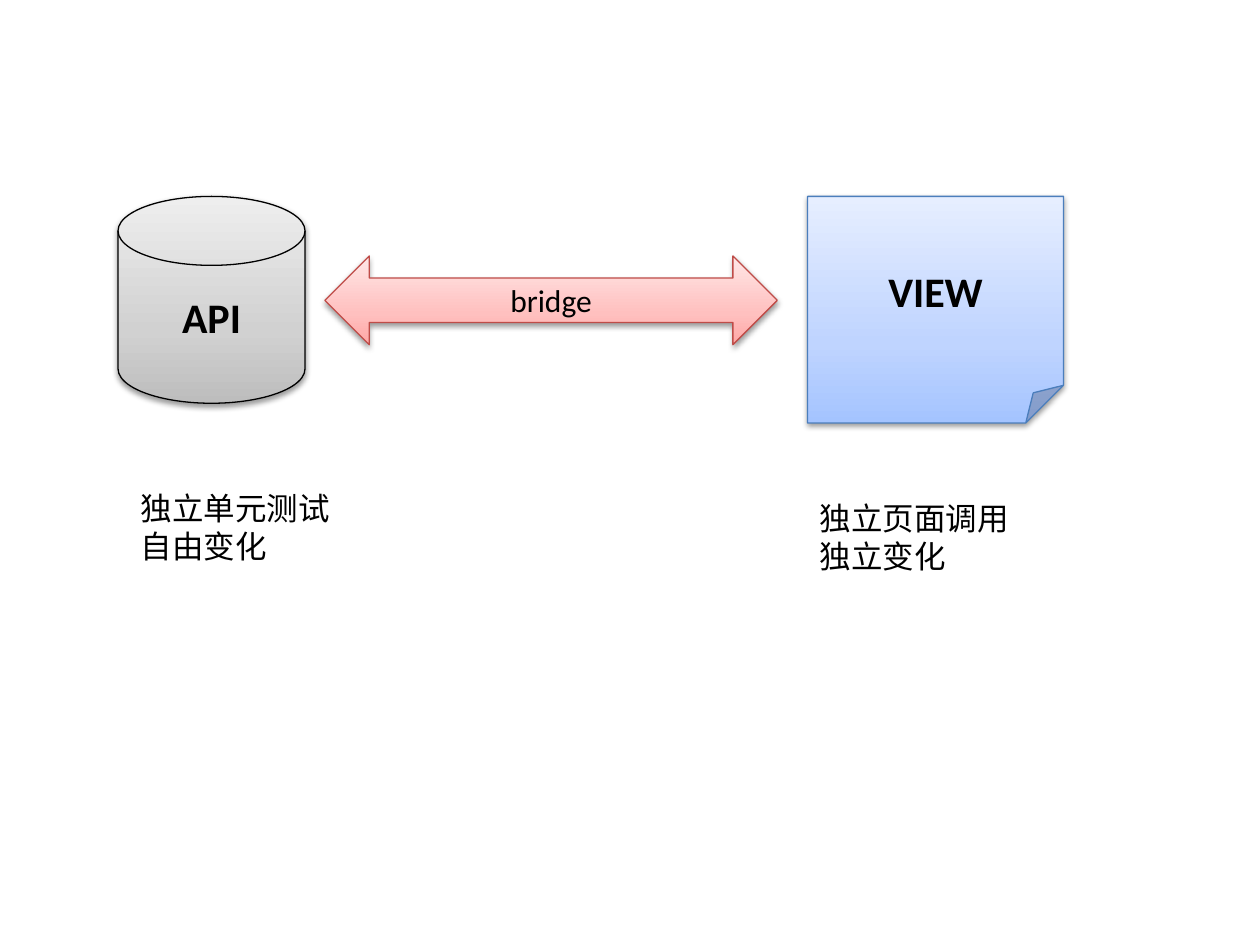
from copy import deepcopy
from dataclasses import dataclass

import lxml.etree
import pptx
import pptx.dml.color
import pptx.enum.shapes
import pptx.enum.text
import pptx.oxml.ns
import pptx.util
from pptx.dml.color import RGBColor
from pptx.util import Cm

KIND = pptx.enum.shapes.MSO_SHAPE
BLACK = RGBColor(0x00, 0x00, 0x00)
BLUE = RGBColor(0x4B, 0x7E, 0xBC)
RED = RGBColor(0xBF, 0x4C, 0x48)
GRAYS = (RGBColor(0xBD, 0xBD, 0xBD), RGBColor(0xD1, 0xD1, 0xD1), RGBColor(0xEE, 0xEE, 0xEE))
BLUES = (RGBColor(0xA4, 0xC4, 0xFF), RGBColor(0xBF, 0xD4, 0xFF), RGBColor(0xE6, 0xEE, 0xFF))
REDS = (RGBColor(0xFF, 0xA6, 0xA5), RGBColor(0xFF, 0xC0, 0xBF), RGBColor(0xFF, 0xE7, 0xE7))
STOPS = (0, 0.35, 1)
FONT = "Calibri"
TOP = 3.96
VIEW_X = 16.28
VIEW_W = 5.16


@dataclass
class Part:
    """A labelled shape of the diagram, in centimetres."""
    kind: KIND
    box: tuple[float, float, float, float]
    text: str
    size: int
    bold: bool
    fill: tuple[RGBColor, ...]
    line: RGBColor


@dataclass
class Note:
    """A caption below a part, in centimetres."""
    left: float
    top: float
    text: str


PARTS = (
    Part(KIND.FLOWCHART_MAGNETIC_DISK, (2.38, TOP, 3.77, 4.17), "API", 24, True, GRAYS, BLACK),
    Part(KIND.FOLDED_CORNER, (VIEW_X, TOP, VIEW_W, 4.57), "VIEW", 24, True, BLUES, BLUE),
    Part(KIND.LEFT_RIGHT_ARROW, (6.55, 5.16, 9.12, 1.79), "bridge", 18, False, REDS, RED),
)
NOTES = (
    Note(2.59, 9.73, "独立单元测试\n自由变化"),
    Note(VIEW_X, 9.93, "独立页面调用\n独立变化"),
)


def shade(shape, tints: tuple[RGBColor, ...]) -> None:
    """Fill a shape with a gradient that rises from its base."""
    shape.fill.gradient()
    shape.fill.gradient_angle = 90
    items = shape._element.spPr.find(".//" + pptx.oxml.ns.qn("a:gsLst"))
    items.insert(1, deepcopy(items[0]))
    for stop, pos, tint in zip(shape.fill.gradient_stops, STOPS, tints):
        stop.position = pos
        stop.color.rgb = tint


def shadow(shape) -> None:
    """Give a shape a soft shadow straight below it."""
    shape.shadow.inherit = False
    tag = pptx.oxml.ns.qn
    group = shape._element.spPr.find(tag("a:effectLst"))
    outer = lxml.etree.SubElement(group, tag("a:outerShdw"), blurRad="40000",
                                  dist="20000", dir="5400000", rotWithShape="0")
    color = lxml.etree.SubElement(outer, tag("a:srgbClr"), val=str(BLACK))
    lxml.etree.SubElement(color, tag("a:alpha"), val="38000")


def write(frame, text: str, size: int, bold: bool = False):
    """Write one paragraph and return it."""
    para = frame.paragraphs[0]
    para.text = text
    para.font.name = FONT
    para.font.size = pptx.util.Pt(size)
    para.font.bold = bold
    para.font.color.rgb = BLACK
    return para


def add_part(slide, part: Part) -> None:
    """Draw one labelled shape."""
    shape = slide.shapes.add_shape(part.kind, *map(Cm, part.box))
    shade(shape, part.fill)
    shape.line.color.rgb = part.line
    shape.line.width = pptx.util.Pt(0.75)
    shadow(shape)
    shape.text_frame.vertical_anchor = pptx.enum.text.MSO_ANCHOR.MIDDLE
    para = write(shape.text_frame, part.text, part.size, part.bold)
    para.alignment = pptx.enum.text.PP_ALIGN.CENTER


def add_note(slide, note: Note) -> None:
    """Draw one caption."""
    box = slide.shapes.add_textbox(Cm(note.left), Cm(note.top), Cm(VIEW_W), Cm(1.8))
    box.text_frame.word_wrap = True
    box.text_frame.auto_size = pptx.enum.text.MSO_AUTO_SIZE.SHAPE_TO_FIT_TEXT
    write(box.text_frame, note.text, 18)


def main() -> None:
    """Build the slide and save it."""
    deck = pptx.Presentation()
    deck.slide_width, deck.slide_height = Cm(25.4), Cm(19.05)
    slide = deck.slides.add_slide(deck.slide_layouts.get_by_name("Blank"))
    for part in PARTS:
        add_part(slide, part)
    for note in NOTES:
        add_note(slide, note)
    deck.save("out.pptx")


main()
